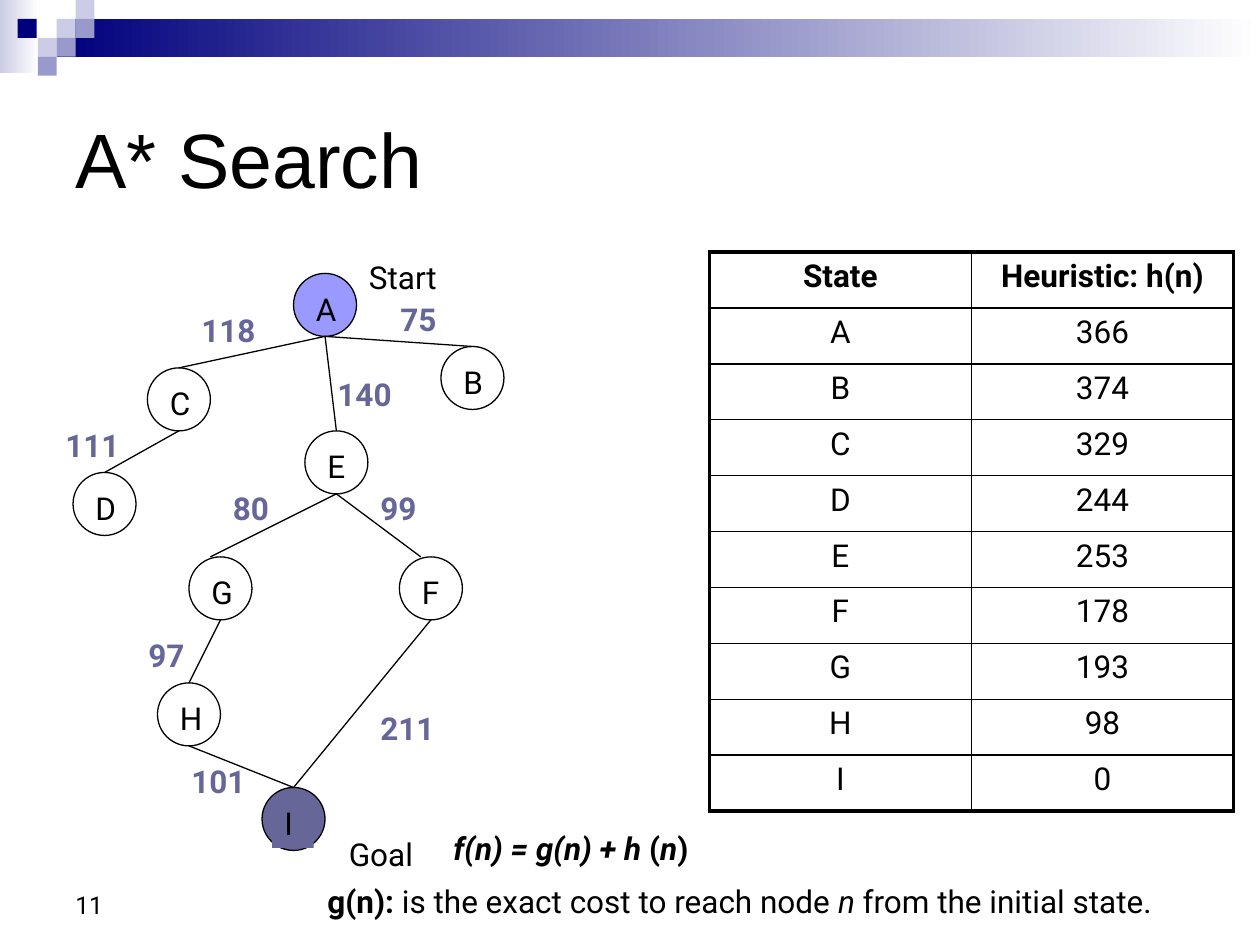
from lxml import etree
from pptx import Presentation
from pptx.dml.color import RGBColor
from pptx.enum.shapes import MSO_CONNECTOR, MSO_SHAPE
from pptx.enum.text import MSO_ANCHOR, PP_ALIGN
from pptx.oxml.ns import qn
from pptx.util import Inches, Pt

RECTANGLE, OVAL = MSO_SHAPE.RECTANGLE, MSO_SHAPE.OVAL
STRAIGHT = MSO_CONNECTOR.STRAIGHT
TOP, MIDDLE, BOTTOM = MSO_ANCHOR.TOP, MSO_ANCHOR.MIDDLE, MSO_ANCHOR.BOTTOM
LEFT, CENTER = PP_ALIGN.LEFT, PP_ALIGN.CENTER

BLACK, NAVY, LAVENDER, LILAC = "000000", "00007D", "CCCCE6", "9999CC"
START_FILL, SLATE = "9999FF", "666699"
NODE_SIZE, LABEL_INSET, LABEL_HEIGHT = 0.5, 0.08, 0.4

# Left and top of each state's circle
NODES = {
    "A": (2.33, 2.17), "B": (3.5, 2.75), "C": (1.17, 2.92),
    "D": (0.58, 3.75), "E": (2.42, 3.42), "F": (3.17, 4.42),
    "G": (1.5, 4.42), "H": (1.25, 5.42), "I": (2.08, 6.25),
}
NODE_FILLS = {"A": START_FILL, "I": SLATE}
# Parent, child, sideways shift of the child's end
EDGES = [
    ("A", "B", 0), ("A", "E", 0), ("A", "C", 0), ("C", "D", 0),
    ("E", "F", -0.08), ("E", "G", -0.08), ("G", "H", 0),
    ("H", "I", 0), ("F", "I", 0),
]
COSTS = [
    ("99", 2.92, 3.83), ("211", 2.92, 5.58), ("80", 1.75, 3.83),
    ("97", 1.08, 5), ("101", 1.42, 6), ("75", 3.08, 2.33),
    ("118", 1.5, 2.42), ("111", 0.42, 3.33), ("140", 2.58, 2.93),
]
HEURISTICS = [
    ("State", "Heuristic: h(n)"),
    ("A", "366"), ("B", "374"), ("C", "329"), ("D", "244"), ("E", "253"),
    ("F", "178"), ("G", "193"), ("H", "98"), ("I", "0"),
]
# Left, top and colour of the small squares in the banner
SQUARES = [
    (0.45, 0.15, LAVENDER), (0.6, 0, LAVENDER), (0.6, 0.15, LILAC),
    (0.3, 0.3, LAVENDER), (0.14, 0.15, NAVY), (0.45, 0.3, LILAC),
    (0.3, 0.45, LILAC),
]


def rgb(color):
    return RGBColor.from_string(color)


def add_span(para, text, size=18, font="Roboto", color=BLACK, bold=False,
             italic=False):
    span = para.add_run()
    span.text = text
    span.font.size, span.font.name = Pt(size), font
    span.font.bold, span.font.italic = bold, italic
    span.font.color.rgb = rgb(color)


def write(frame, text, align=LEFT, anchor=TOP, **span_format):
    frame.word_wrap = True
    frame.vertical_anchor = anchor
    para = frame.paragraphs[0]
    para.alignment = align
    add_span(para, text, **span_format)


def add_text(page, text, left, top, width, height, **text_format):
    box = page.shapes.add_textbox(
        Inches(left), Inches(top), Inches(width), Inches(height))
    write(box.text_frame, text, **text_format)


def add_figure(page, kind, left, top, width, height, fill=None, line=None):
    """Add a preset shape; a pair of colours as fill makes a gradient."""
    figure = page.shapes.add_shape(
        kind, Inches(left), Inches(top), Inches(width), Inches(height))
    figure.shadow.inherit = False
    if fill is None:
        figure.fill.background()
    elif isinstance(fill, tuple):
        figure.fill.gradient()
        figure.fill.gradient_angle = 0
        for stop, color in zip(figure.fill.gradient_stops, fill):
            stop.color.rgb = rgb(color)
    else:
        figure.fill.solid()
        figure.fill.fore_color.rgb = rgb(fill)
    if line is None:
        figure.line.fill.background()
    else:
        figure.line.color.rgb = rgb(line)
        figure.line.width = Pt(0.75)
    return figure


def add_banner(page):
    add_figure(page, RECTANGLE, 0, 0, 0.31, 0.58, fill=(LAVENDER, "FFFFFF"))
    add_figure(page, RECTANGLE, 0.45, 0.15, 9.55, 0.3, fill=(NAVY, "FFFFFF"))
    for left, top, color in SQUARES:
        add_figure(page, RECTANGLE, left, top, 0.15, 0.15, fill=color)


def add_node(page, name):
    left, top = NODES[name]
    add_figure(page, OVAL, left, top, NODE_SIZE, NODE_SIZE,
               fill=NODE_FILLS.get(name), line=BLACK)
    label_place = (left + LABEL_INSET, top + LABEL_INSET, 0.33, LABEL_HEIGHT)
    if name == "I":
        label = add_figure(page, RECTANGLE, *label_place, fill=SLATE)
        write(label.text_frame, name)
    else:
        add_text(page, name, *label_place)


def add_edge(page, parent, child, shift):
    """Join the bottom of the parent circle to the top of the child."""
    parent_left, parent_top = NODES[parent]
    child_left, child_top = NODES[child]
    radius = NODE_SIZE / 2
    edge = page.shapes.add_connector(
        STRAIGHT,
        Inches(parent_left + radius), Inches(parent_top + NODE_SIZE),
        Inches(child_left + radius + shift), Inches(child_top))
    edge.line.color.rgb = rgb(BLACK)
    edge.line.width = Pt(0.75)
    etree.SubElement(edge._element.spPr, qn("a:effectLst"))


def set_borders(cell, widths):
    """Draw the left, right, top and bottom borders, in points."""
    properties = cell._tc.get_or_add_tcPr()
    for index, (side, width) in enumerate(zip("LRTB", widths)):
        border = etree.Element(qn("a:ln" + side), w=str(Pt(width)))
        fill = etree.SubElement(border, qn("a:solidFill"))
        etree.SubElement(fill, qn("a:srgbClr"), val=BLACK)
        properties.insert(index, border)


def add_heuristic_table(page):
    row_count, column_count = len(HEURISTICS), len(HEURISTICS[0])
    row_height, column_width = 0.444, 2.08
    table = page.shapes.add_table(
        row_count, column_count, Inches(5.63), Inches(2),
        Inches(column_width * column_count),
        Inches(row_height * row_count)).table
    table.first_row = table.horz_banding = False
    for column in table.columns:
        column.width = Inches(column_width)
    for r, values in enumerate(HEURISTICS):
        table.rows[r].height = Inches(row_height)
        for c, value in enumerate(values):
            cell = table.cell(r, c)
            cell.fill.background()
            write(cell.text_frame, value, align=CENTER, bold=r == 0)
            outer = (c == 0, c == column_count - 1, r == 0, r == row_count - 1)
            set_borders(cell, [2.25 if edge else 1 for edge in outer])


def add_formula(page):
    box = page.shapes.add_textbox(
        Inches(2.5), Inches(6.53), Inches(7.25), Inches(0.97))
    box.text_frame.word_wrap = True
    formula = box.text_frame.paragraphs[0]
    add_span(formula, "\t\tf(n) = g(n) + h ", bold=True, italic=True)
    add_span(formula, "(", bold=True)
    add_span(formula, "n", bold=True, italic=True)
    add_span(formula, ")", bold=True)
    meaning = box.text_frame.add_paragraph()
    meaning.space_before = Pt(9)
    add_span(meaning, "g(n): ", bold=True)
    add_span(meaning, "is the exact cost to reach node ")
    add_span(meaning, "n", italic=True)
    add_span(meaning, " from the initial state.")


def add_title(page, text):
    title = page.shapes.title
    title.left, title.top = Inches(0.5), Inches(0.5)
    title.width, title.height = Inches(9), Inches(1.5)
    write(title.text_frame, text, anchor=MIDDLE, size=44, font="Arial")


def main():
    deck = Presentation()
    deck.slide_width, deck.slide_height = Inches(10), Inches(7.5)
    page = deck.slides.add_slide(deck.slide_layouts[5])
    add_banner(page)
    add_title(page, "A* Search")
    add_text(page, "11", 0.5, 6.83, 2.33, 0.52, anchor=BOTTOM, size=14)
    add_formula(page)
    add_heuristic_table(page)
    for name in NODES:
        add_node(page, name)
    for edge in EDGES:
        add_edge(page, *edge)
    for cost, left, top in COSTS:
        add_text(page, cost, left, top, 0.83, LABEL_HEIGHT,
                 color=SLATE, bold=True)
    add_text(page, "Start", 2.83, 2, 1.33, LABEL_HEIGHT)
    add_text(page, "Goal", 2.67, 6.58, 1.33, LABEL_HEIGHT)
    deck.save("out.pptx")


if __name__ == "__main__":
    main()
